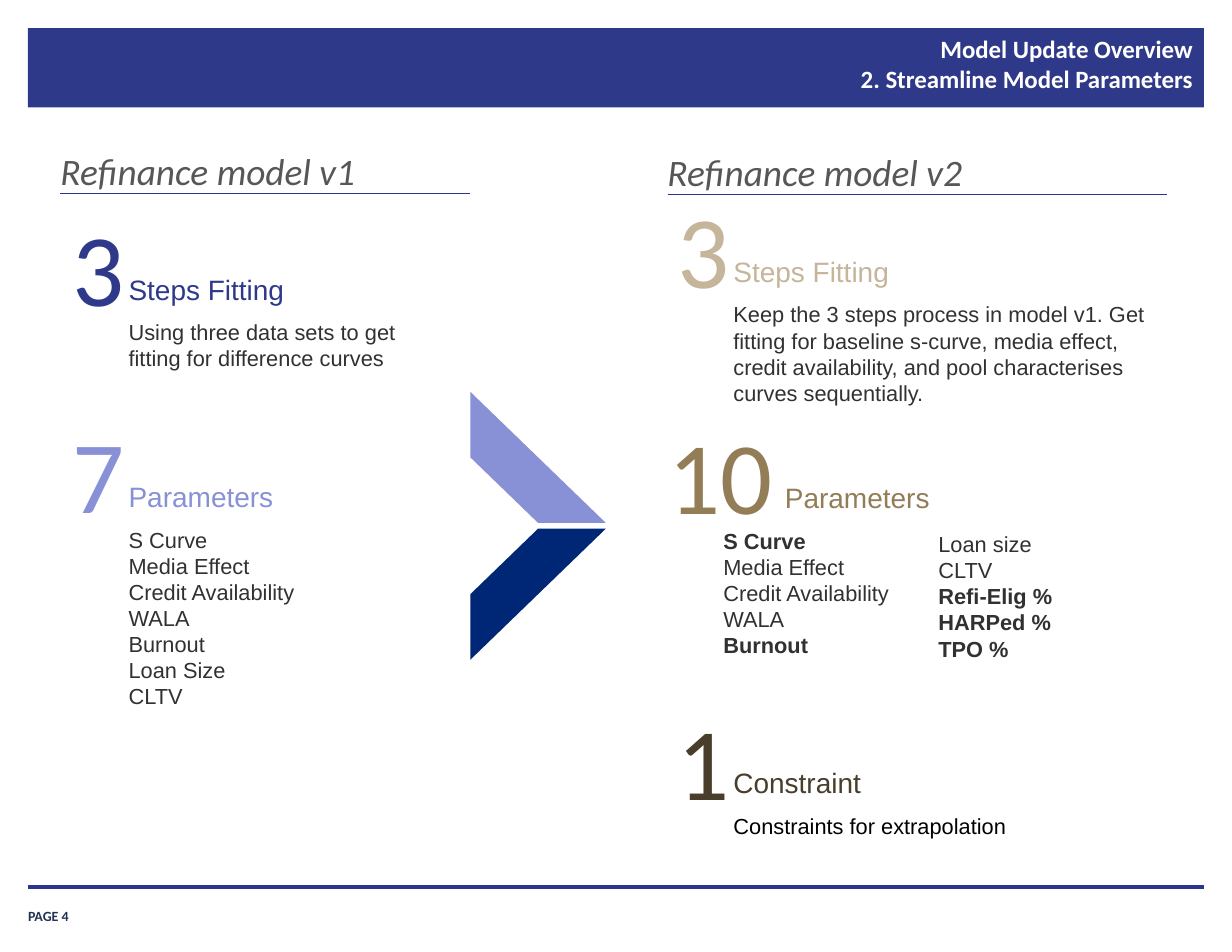
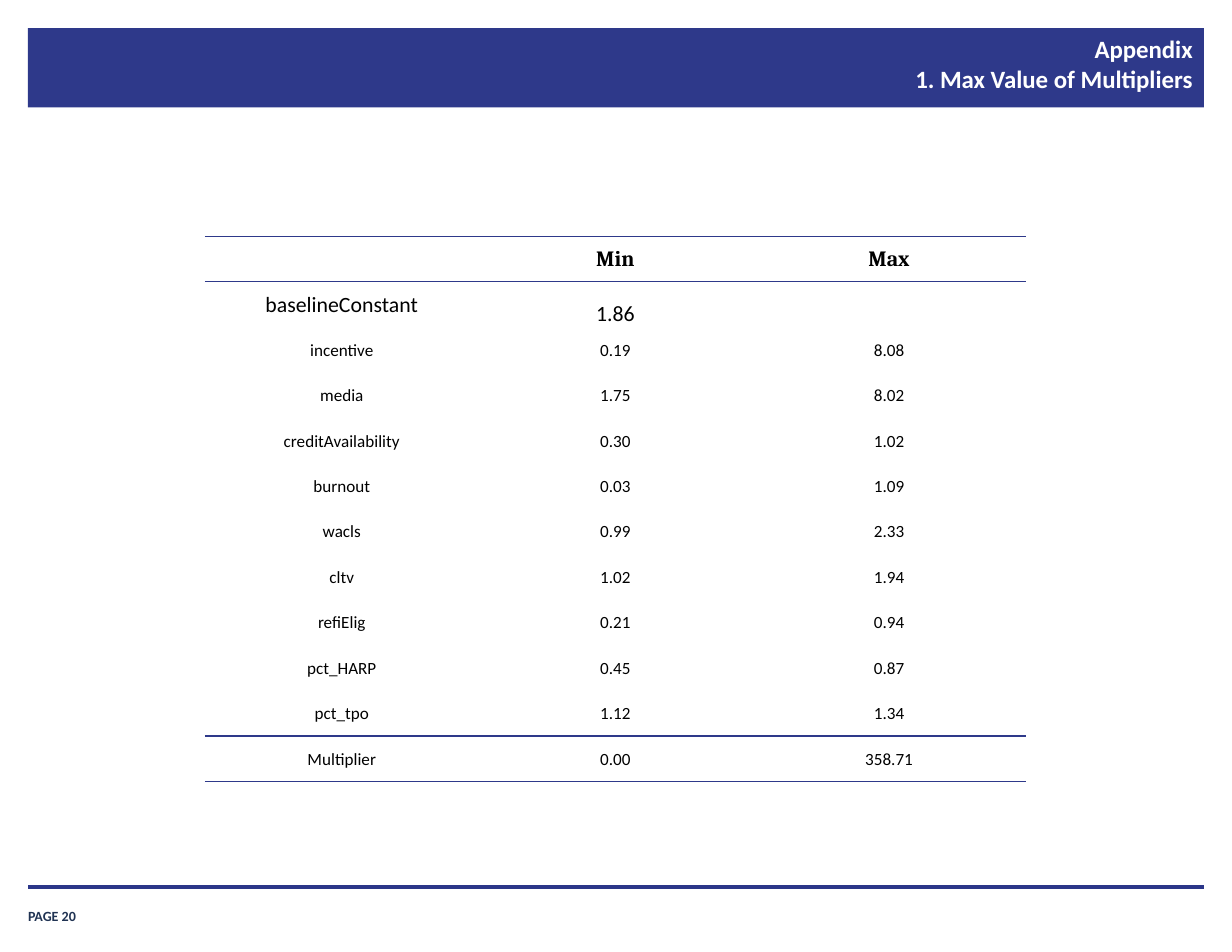
from dataclasses import dataclass

import lxml.etree
import pptx
import pptx.dml.color
import pptx.enum.shapes
import pptx.enum.text
import pptx.oxml.ns
import pptx.util

Inches = pptx.util.Inches
Pt = pptx.util.Pt
qn = pptx.oxml.ns.qn
RGB = pptx.dml.color.RGBColor.from_string
ALIGN = pptx.enum.text.PP_ALIGN
ANCHOR = pptx.enum.text.MSO_ANCHOR
SHAPE = pptx.enum.shapes.MSO_SHAPE
NO_TABLE_STYLE = "{2D5ABB26-0587-4C30-8999-92F81FD0307C}"


@dataclass(frozen=True)
class Theme:
    band: str = "2E398A"
    rule: str = "2B3689"
    navy: str = "002776"
    lilac: str = "8891D5"
    sand: str = "C4B59B"
    tan: str = "937D57"
    brown: str = "493E2B"
    page: str = "203353"
    heading: str = "575757"
    body: str = "313131"
    black: str = "000000"
    white: str = "FFFFFF"
    number_size: int = 66
    heading_size: int = 24
    label_size: int = 18
    title_size: int = 16
    body_size: int = 14
    cell_size: int = 11
    page_size: int = 9


class Deck:
    def __init__(self, theme):
        self.theme = theme
        self.prs = pptx.Presentation()
        self.prs.slide_width = Inches(11)
        self.prs.slide_height = Inches(8.5)
        self.s = None

    def add_slide(self, title, page):
        t = self.theme
        self.s = self.prs.slides.add_slide(self.prs.slide_layouts[6])
        self.shape(SHAPE.RECTANGLE, (0.25, 0.25, 10.5, 0.71), t.band)
        self.text((0.25, 8.02, 0.91, 0.23), [f"PAGE {page}"], t.page_size, t.page,
                  "Calibri", margins=(0, 0), anchor=ANCHOR.BOTTOM, bold=True)
        self.line(0.25, 10.75, 7.92, 2)
        self.text((3.32, 0.24, 7.44, 0.74), [title], t.title_size, t.white,
                  "Calibri", margins=(0.11, 0.06), align=ALIGN.RIGHT, bold=True)

    def style(self, p, size, color, name, align=ALIGN.LEFT, **font):
        p.alignment = align
        values = {"size": Pt(size), "name": name, "bold": False, **font}
        for r in p.runs:
            for key, value in values.items():
                setattr(r.font, key, value)
            r.font.color.rgb = RGB(color)

    def text(self, box, lines, size, color, name="Arial", margins=(0.1, 0.05),
             anchor=ANCHOR.TOP, bold_lines=(), **fmt):
        tf = self.s.shapes.add_textbox(*map(Inches, box)).text_frame
        side, edge = map(Inches, margins)
        frame = {"word_wrap": True, "vertical_anchor": anchor, "margin_left": side,
                 "margin_right": side, "margin_top": edge, "margin_bottom": edge}
        for key, value in frame.items():
            setattr(tf, key, value)
        for i, line in enumerate(lines):
            p = tf.add_paragraph() if i else tf.paragraphs[0]
            p.text = line
            extra = {"bold": True} if line in bold_lines else {}
            self.style(p, size, color, name, **{**fmt, **extra})

    def shape(self, kind, box, color, flip=False):
        sp = self.s.shapes.add_shape(kind, *map(Inches, box))
        sp.shadow.inherit = False
        sp.fill.solid()
        sp.fill.fore_color.rgb = RGB(color)
        sp.line.fill.background()
        if flip:
            sp._element.spPr.get_or_add_xfrm().set("flipV", "1")

    def line(self, left, right, y, width):
        c = self.s.shapes.add_connector(pptx.enum.shapes.MSO_CONNECTOR.STRAIGHT,
                                        Inches(left), Inches(y), Inches(right), Inches(y))
        c.line.color.rgb = RGB(self.theme.rule)
        c.line.width = Pt(width)
        lxml.etree.SubElement(c._element.spPr, qn("a:effectLst"))

    def heading(self, text, left, right, y):
        t = self.theme
        self.text((left, y, 5.56, 0.4), [text], t.heading_size, t.heading,
                  "Calibri", margins=(0, 0), italic=True)
        self.line(left, right, y + 0.41, 0.75)

    def block(self, left, top, number, label, color, lines, body_width,
              number_width=0.4, body_left=None, body_color=None, bold_lines=()):
        t = self.theme
        label_left = left + number_width
        self.text((left, top, number_width, 1.11), [number], t.number_size, color,
                  "Calibri", margins=(0, 0), align=ALIGN.CENTER)
        self.text((label_left, top + 0.56, 2.96, 0.4), [label], t.label_size, color)
        self.body((body_left or label_left, top + 0.98, body_width), lines,
                  body_color or t.body, bold_lines)

    def body(self, place, lines, color, bold_lines=()):
        self.text((*place, 0.1 + 0.24 * len(lines)), lines, self.theme.body_size,
                  color, bold_lines=bold_lines)

    def border(self, cell, side):
        ln = lxml.etree.SubElement(cell._tc.get_or_add_tcPr(), qn(f"a:{side}"),
                                   w=str(Pt(1)))
        fill = lxml.etree.SubElement(ln, qn("a:solidFill"))
        lxml.etree.SubElement(fill, qn("a:srgbClr"), val=self.theme.band)

    def table(self, box, rows):
        t = self.theme
        tbl = self.s.shapes.add_table(len(rows), len(rows[0]), *map(Inches, box)).table
        tbl.first_row = tbl.horz_banding = False
        tbl._tbl.tblPr.find(qn("a:tableStyleId")).text = NO_TABLE_STYLE
        last = len(rows) - 1
        margins = {"margin_left": 0.01, "margin_right": 0.01,
                   "margin_top": 0.01, "margin_bottom": 0}
        for i, row in enumerate(rows):
            for j, value in enumerate(row):
                cell = tbl.cell(i, j)
                for key, inset in margins.items():
                    setattr(cell, key, Inches(inset))
                low = (i, j) == (1, 1)
                cell.vertical_anchor = ANCHOR.BOTTOM if low else ANCHOR.MIDDLE
                if i in (0, last):
                    self.border(cell, "lnT")
                if i in (0, last - 1, last):
                    self.border(cell, "lnB")
                cell.fill.background()
                p = cell.text_frame.paragraphs[0]
                p.text = value
                self.style(p, t.body_size if i < 2 else t.cell_size, t.black,
                           "Calibri" if i else "Cambria", ALIGN.CENTER, bold=i == 0)


def parameters_slide(deck):
    t = deck.theme
    deck.add_slide("Model Update Overview\v2. Streamline Model Parameters", 4)
    deck.heading("Refinance model v1", 0.54, 4.2, 1.32)
    deck.heading("Refinance model v2", 5.96, 10.42, 1.33)
    deck.shape(SHAPE.DIAGONAL_STRIPE, (4.2, 4.72, 1.21, 1.17), t.navy)
    deck.shape(SHAPE.DIAGONAL_STRIPE, (4.2, 3.5, 1.21, 1.17), t.lilac, flip=True)

    deck.block(0.65, 1.82, "3", "Steps Fitting", t.band,
               ["Using three data sets to get fitting for difference curves"], 2.96)
    deck.block(0.65, 3.67, "7", "Parameters", t.lilac,
               ["S Curve", "Media Effect", "Credit Availability", "WALA", "Burnout",
                "Loan Size", "CLTV"], 2.96)

    deck.block(6.05, 1.66, "3", "Steps Fitting", t.sand,
               ["Keep the 3 steps process in model v1. Get fitting for baseline s-curve, "
                "media effect, credit availability, and pool characterises curves "
                "sequentially."], 3.97)
    deck.block(5.96, 3.68, "10", "Parameters", t.tan,
               ["S Curve", "Media Effect", "Credit Availability", "WALA", "Burnout"],
               2.96, number_width=0.95, body_left=6.36, bold_lines=("S Curve", "Burnout"))
    added = ["Refi-Elig %", "HARPed %", "TPO %"]
    deck.body((8.28, 4.69, 2.96), ["Loan size", "CLTV", *added], t.body, added)
    deck.block(6.05, 6.23, "1", "Constraint", t.brown,
               ["Constraints for extrapolation"], 2.96, body_color=t.black)


def multipliers_slide(deck):
    deck.add_slide("Appendix\v1. Max Value of Multipliers", 20)
    deck.table((1.83, 2.11, 7.33, 4.87), [
        ("", "Min", "Max"),
        ("baselineConstant", "1.86", ""),
        ("incentive", "0.19", "8.08"),
        ("media", "1.75", "8.02"),
        ("creditAvailability", "0.30", "1.02"),
        ("burnout", "0.03", "1.09"),
        ("wacls", "0.99", "2.33"),
        ("cltv", "1.02", "1.94"),
        ("refiElig", "0.21", "0.94"),
        ("pct_HARP", "0.45", "0.87"),
        ("pct_tpo", "1.12", "1.34"),
        ("Multiplier", "0.00", "358.71"),
    ])


def main():
    deck = Deck(Theme())
    parameters_slide(deck)
    multipliers_slide(deck)
    deck.prs.save("out.pptx")


if __name__ == "__main__":
    main()
